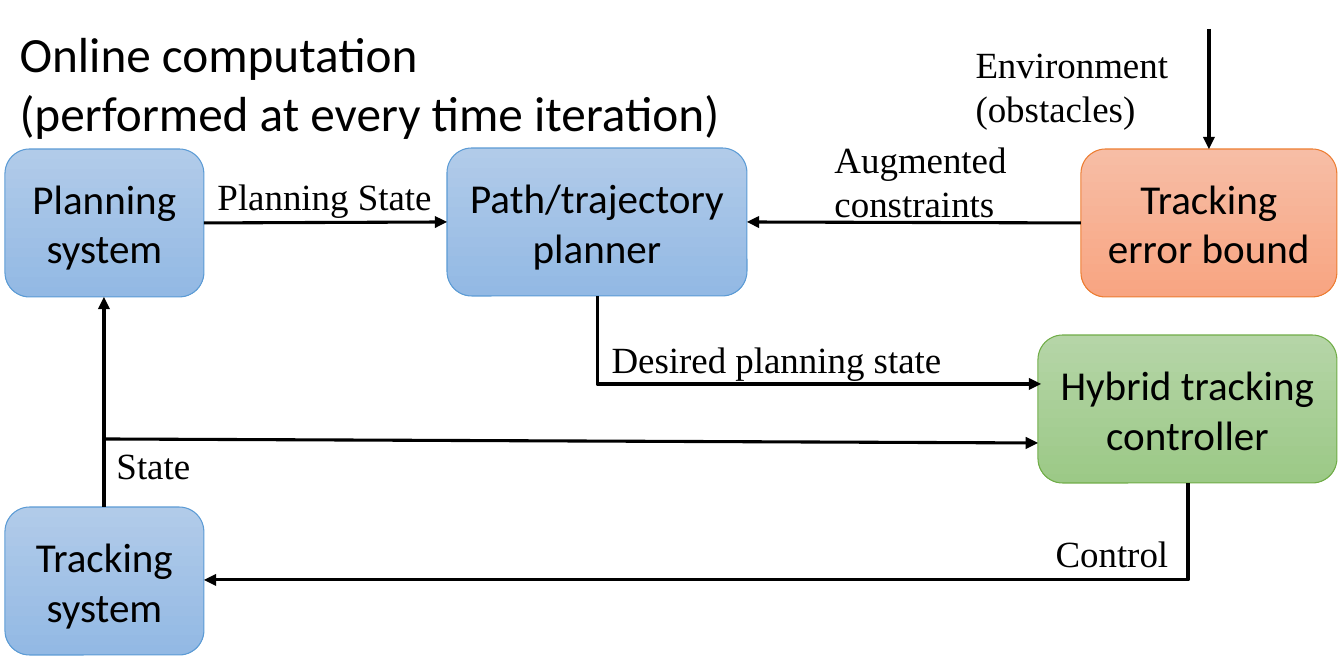
"""Draw the online computation loop of a tracking planner as a block diagram."""
import pptx
import pptx.util
import pptx.dml.color
import pptx.enum.shapes
import pptx.enum.text
import pptx.oxml
import pptx.oxml.ns

RGB = pptx.dml.color.RGBColor
BLACK = RGB(0x00, 0x00, 0x00)
BLUE = (RGB(0xB1, 0xCB, 0xE9), RGB(0x93, 0xB9, 0xE4), RGB(0x5B, 0x9B, 0xD5))
GREEN = (RGB(0xB5, 0xD5, 0xA7), RGB(0x9C, 0xC9, 0x87), RGB(0x70, 0xAD, 0x47))
ORANGE = (RGB(0xF7, 0xBD, 0xA5), RGB(0xF8, 0xA5, 0x82), RGB(0xED, 0x7D, 0x31))
SCALE = 914400 / 147.7


def emu(*sizes):
    return [pptx.util.Emu(round(size * SCALE)) for size in sizes]


class Board:
    sans = "Calibri"
    serif = "Times New Roman"

    def __init__(self, slide):
        self.slide = slide

    def style(self, frame, text, face, size):
        frame.text = text
        font = frame.paragraphs[0].font
        font.name = face
        font.size = pptx.util.Pt(size)
        font.color.rgb = BLACK

    def block(self, text, tones, left, top, wide, high=148):
        kind = pptx.enum.shapes.MSO_SHAPE.ROUNDED_RECTANGLE
        shape = self.slide.shapes.add_shape(kind, *emu(left, top, wide, high))
        shape.shadow.inherit = False
        shape.fill.gradient()
        shape.fill.gradient_angle = 270
        for stop, tone in zip(shape.fill.gradient_stops, tones):
            stop.color.rgb = tone
        shape.line.color.rgb = tones[2]
        shape.line.width = pptx.util.Pt(0.5)
        frame = shape.text_frame
        frame.vertical_anchor = pptx.enum.text.MSO_ANCHOR.MIDDLE
        self.style(frame, text, self.sans, 20)
        frame.paragraphs[0].alignment = pptx.enum.text.PP_ALIGN.CENTER

    def label(self, text, left, top, wide, high=59, wrap=False, face=serif, size=18):
        box = self.slide.shapes.add_textbox(*emu(left, top, wide, high))
        frame = box.text_frame
        frame.word_wrap = wrap
        frame.auto_size = pptx.enum.text.MSO_AUTO_SIZE.SHAPE_TO_FIT_TEXT
        self.style(frame, text, face, size)

    def link(self, *ends, head=True, kind=pptx.enum.shapes.MSO_CONNECTOR.STRAIGHT):
        line = self.slide.shapes.add_connector(kind, *emu(*ends))
        line.line.color.rgb = BLACK
        line.line.width = pptx.util.Pt(1.5)
        props = line.element.spPr
        space = pptx.oxml.ns.nsdecls("a")
        if head:
            tip = pptx.oxml.parse_xml(f'<a:tailEnd {space} type="triangle"/>')
            props.get_or_add_ln().append(tip)
        props.append(pptx.oxml.parse_xml(f"<a:effectLst {space}/>"))
        return line

    def bend(self, x1, y1, x2, y2):
        wide, high = y2 - y1, abs(x2 - x1)
        left, top = (x1 + x2 - wide) / 2, (y1 + y2 - high) / 2
        line = self.link(left, top, left + wide, top + high,
                         kind=pptx.enum.shapes.MSO_CONNECTOR.ELBOW)
        props = line.element.spPr
        props.find(pptx.oxml.ns.qn("a:prstGeom")).set("prst", "bentConnector2")
        frame = props.find(pptx.oxml.ns.qn("a:xfrm"))
        if x2 > x1:
            frame.set("flipH", "1")
        frame.set("rot", str((270 if x2 > x1 else 90) * 60000))


deck = pptx.Presentation()
deck.slide_width, deck.slide_height = emu(1344, 665)
board = Board(deck.slides.add_slide(deck.slide_layouts[6]))

for block in (
    ("Planning system", BLUE, 5, 149, 199),
    ("Tracking system", BLUE, 5, 507, 199),
    ("Path/trajectory planner", BLUE, 447, 148, 300),
    ("Hybrid tracking controller", GREEN, 1038, 335, 299),
    ("Tracking error bound", ORANGE, 1081, 149, 256),
):
    board.block(*block)

for ends in (
    (1209, 29, 1209, 149),
    (1081, 223, 747, 222),
    (104, 439, 104, 297),
    (104, 439, 1038, 443),
    (204, 223, 447, 222),
):
    board.link(*ends)
board.link(104, 439, 104, 507, head=False)
board.bend(1188, 483, 204, 580)
board.bend(597, 296, 1041, 384)

board.label("Environment (obstacles)", 961, 34, 225, 105, wrap=True)
board.label("Augmented constraints", 820, 129, 257, 105, wrap=True)
board.label("Control", 1041, 523, 143)
board.label("State", 102, 435, 105)
board.label("Planning State", 203, 166, 247)
board.label("Desired planning state", 597, 329, 363)
board.label("Online computation\v(performed at every time iteration)",
            5, 16, 1114, 134, wrap=True, face=Board.sans, size=24)

deck.save("out.pptx")
